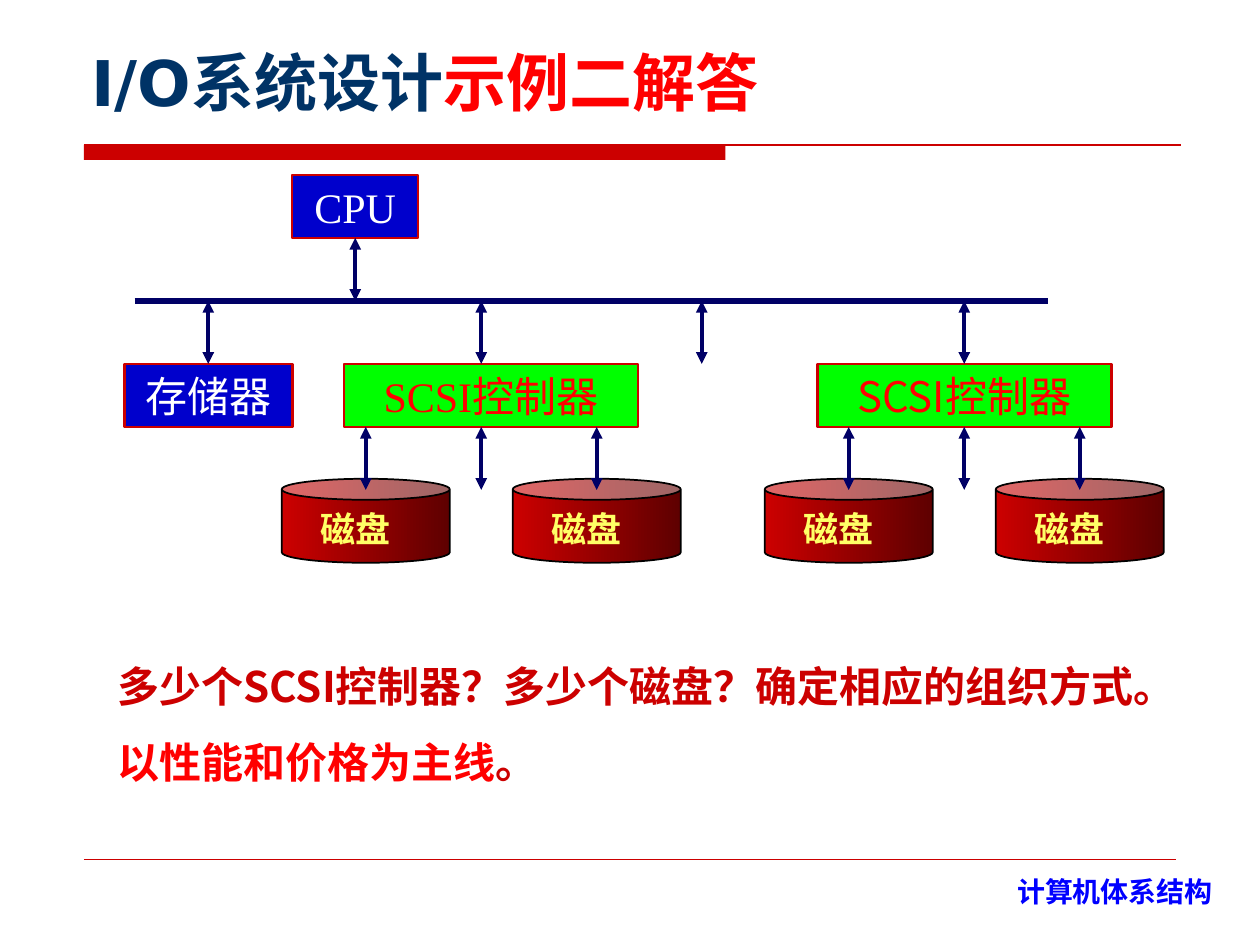
"""Build the slide on the I/O system design, example two."""
import dataclasses

import pptx
import pptx.dml.color
import pptx.enum.shapes
import pptx.enum.text
import pptx.oxml.ns
import pptx.util
from lxml import etree

Pt = pptx.util.Pt
Color = pptx.dml.color.RGBColor.from_string
Shape = pptx.enum.shapes.MSO_SHAPE
Align = pptx.enum.text.PP_ALIGN
Anchor = pptx.enum.text.MSO_ANCHOR
qn = pptx.oxml.ns.qn


@dataclasses.dataclass(frozen=True)
class Theme:
    navy: str = "003366"
    bus: str = "000066"
    blue: str = "0000CC"
    footer: str = "0000FF"
    green: str = "00FF00"
    red: str = "FF0000"
    crimson: str = "CC0000"
    maroon: str = "5E0000"
    yellow: str = "FFFF66"
    white: str = "FFFFFF"
    black: str = "000000"
    title_size: float = 36
    text_size: float = 24
    disk_size: float = 20
    footer_size: float = 16
    heading: str = "DejaVu Sans"
    serif: str = "Times New Roman"
    sans: str = "Noto Sans CJK SC"
    sans_alt: str = "Noto Sans CJK JP"


THEME = Theme()


def apply(target, values):
    for name, value in values.items():
        setattr(target, name, value)


def write(paragraph, parts, size, face, bold=False, **layout):
    apply(paragraph, layout)
    for words, color in parts:
        run = paragraph.add_run()
        run.text = words
        apply(run.font, {"size": Pt(size), "name": face, "bold": bold})
        run.font.color.rgb = Color(color)
        east_asian = etree.SubElement(run.font._element, qn("a:ea"))
        east_asian.set("typeface", THEME.sans)


def add_label(slide, area, anchor=Anchor.MIDDLE):
    frame = slide.shapes.add_textbox(*map(Pt, area)).text_frame
    apply(frame, {"word_wrap": True, "vertical_anchor": anchor})
    return frame


def add_line(slide, start, end, color, width, arrows=False):
    line = slide.shapes.add_connector(
        pptx.enum.shapes.MSO_CONNECTOR.STRAIGHT, *map(Pt, start + end))
    line.line.color.rgb = Color(color)
    line.line.width = Pt(width)
    if arrows:
        outline = line.line._get_or_add_ln()
        for tag in ("a:headEnd", "a:tailEnd"):
            etree.SubElement(outline, qn(tag), type="triangle")
    etree.SubElement(line._element.spPr, qn("a:effectLst"))
    return line


def add_arrow(slide, x, top):
    return add_line(slide, (x, top), (x, top + 36), THEME.bus, 2.25, arrows=True)


def add_unit(slide, area, words, fill, color, face=THEME.serif):
    unit = slide.shapes.add_shape(Shape.RECTANGLE, *map(Pt, area))
    unit.shadow.inherit = False
    unit.fill.solid()
    unit.fill.fore_color.rgb = Color(fill)
    unit.line.color.rgb = Color(THEME.crimson)
    unit.line.width = Pt(1.5)
    apply(unit.text_frame, {"word_wrap": True, "vertical_anchor": Anchor.MIDDLE})
    write(unit.text_frame.paragraphs[0], [(words, color)], THEME.text_size, face,
          alignment=Align.CENTER)
    return unit


def add_disk(slide, x):
    disk = slide.shapes.add_shape(
        Shape.CAN, Pt(x - 48), Pt(273.6), Pt(96), Pt(48))
    disk.shadow.inherit = False
    disk.fill.gradient()
    disk.fill.gradient_angle = 0
    for stop, color, position in zip(
            disk.fill.gradient_stops, (THEME.crimson, THEME.maroon), (0, 1)):
        stop.color.rgb = Color(color)
        stop.position = position
    disk.line.color.rgb = Color(THEME.black)
    disk.line.width = Pt(1)
    label = add_label(slide, (x - 42, 286, 72, 31.5))
    write(label.paragraphs[0], [("磁盘", THEME.yellow)], THEME.disk_size,
          THEME.serif, bold=True, alignment=Align.CENTER)
    add_arrow(slide, x, 244)


def add_frame(slide):
    """Add the title, the rules and the course name around the content."""
    title = slide.shapes.title
    apply(title, {"left": Pt(45), "top": Pt(24), "width": Pt(630), "height": Pt(47.5)})
    apply(title.text_frame, {
        "word_wrap": True, "vertical_anchor": Anchor.BOTTOM,
        "auto_size": pptx.enum.text.MSO_AUTO_SIZE.NONE})
    write(title.text_frame.paragraphs[0],
          [("I/O系统设计", THEME.navy), ("示例二解答", THEME.red)],
          THEME.title_size, THEME.heading, bold=True, alignment=Align.LEFT)

    band = slide.shapes.add_shape(
        Shape.RECTANGLE, Pt(48), Pt(82.8), Pt(366.5), Pt(8.6))
    band.shadow.inherit = False
    band.fill.solid()
    band.fill.fore_color.rgb = Color(THEME.crimson)
    band.line.fill.background()
    add_line(slide, (48, 82.8), (674.6, 82.8), THEME.crimson, 0.75)
    add_line(slide, (48, 491), (672, 491), THEME.crimson, 0.25)

    course = add_label(slide, (523.5, 496, 176.5, 31), Anchor.TOP)
    write(course.paragraphs[0], [("计算机体系结构", THEME.footer)],
          THEME.footer_size, THEME.sans, bold=True, alignment=Align.RIGHT)


def add_system(slide):
    """Add the processor, bus, memory, controllers and disks."""
    cpu = add_unit(slide, (167, 100, 72, 36), "CPU", THEME.blue, THEME.white)
    memory = add_unit(slide, (71, 208, 96, 36), "存储器", THEME.blue, THEME.white)
    add_unit(slide, (196.5, 208, 168, 36), "SCSI控制器", THEME.green, THEME.red)
    last_controller = add_unit(slide, (467, 208, 168, 36), "SCSI控制器",
                               THEME.green, THEME.red, THEME.sans_alt)
    add_line(slide, (77, 172), (599, 172), THEME.bus, 3)

    add_arrow(slide, 203, 136).begin_connect(cpu, 2)
    add_arrow(slide, 119, 172).end_connect(memory, 0)
    add_arrow(slide, 275, 172)
    add_arrow(slide, 401, 172)
    add_arrow(slide, 551, 172).end_connect(last_controller, 0)
    add_arrow(slide, 275, 244)
    add_arrow(slide, 551, 244).begin_connect(last_controller, 2)
    for channel in (275, 551):
        for offset in (-66, 66):
            add_disk(slide, channel + offset)


def add_questions(slide):
    questions = add_label(slide, (60, 374, 627, 80), Anchor.TOP)
    style = {"size": THEME.text_size, "face": THEME.sans, "bold": True,
             "line_spacing": Pt(28.6)}
    write(questions.paragraphs[0],
          [("多少个SCSI控制器？多少个磁盘？确定相应的组织方式。", THEME.crimson)],
          **style)
    write(questions.add_paragraph(),
          [("以性能和价格为主线", THEME.red), ("。", THEME.crimson)],
          space_before=Pt(15), **style)


def main():
    deck = pptx.Presentation()
    apply(deck, {"slide_width": Pt(720), "slide_height": Pt(540)})
    slide = deck.slides.add_slide(deck.slide_layouts[5])
    add_frame(slide)
    add_system(slide)
    add_questions(slide)
    deck.save("out.pptx")


if __name__ == "__main__":
    main()
